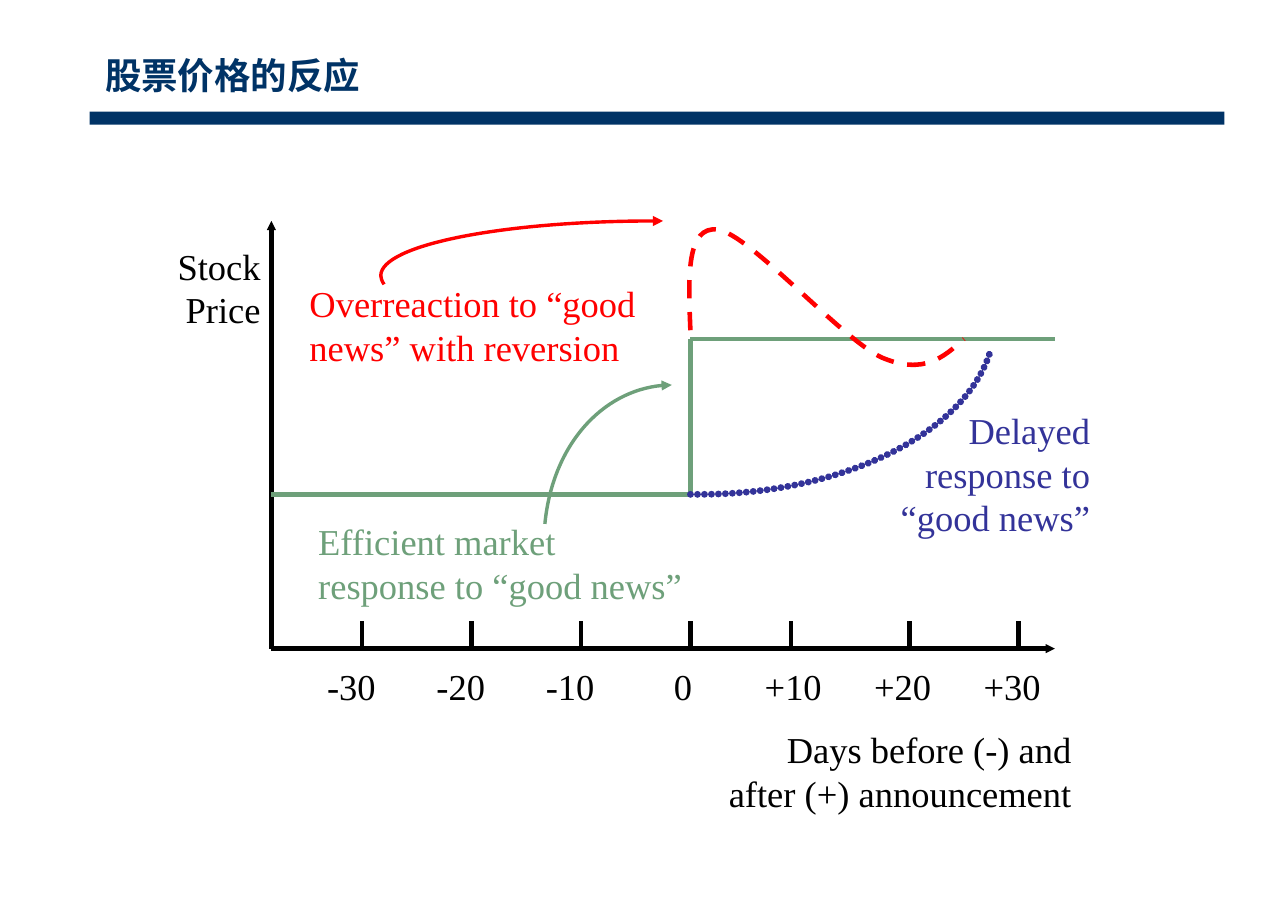
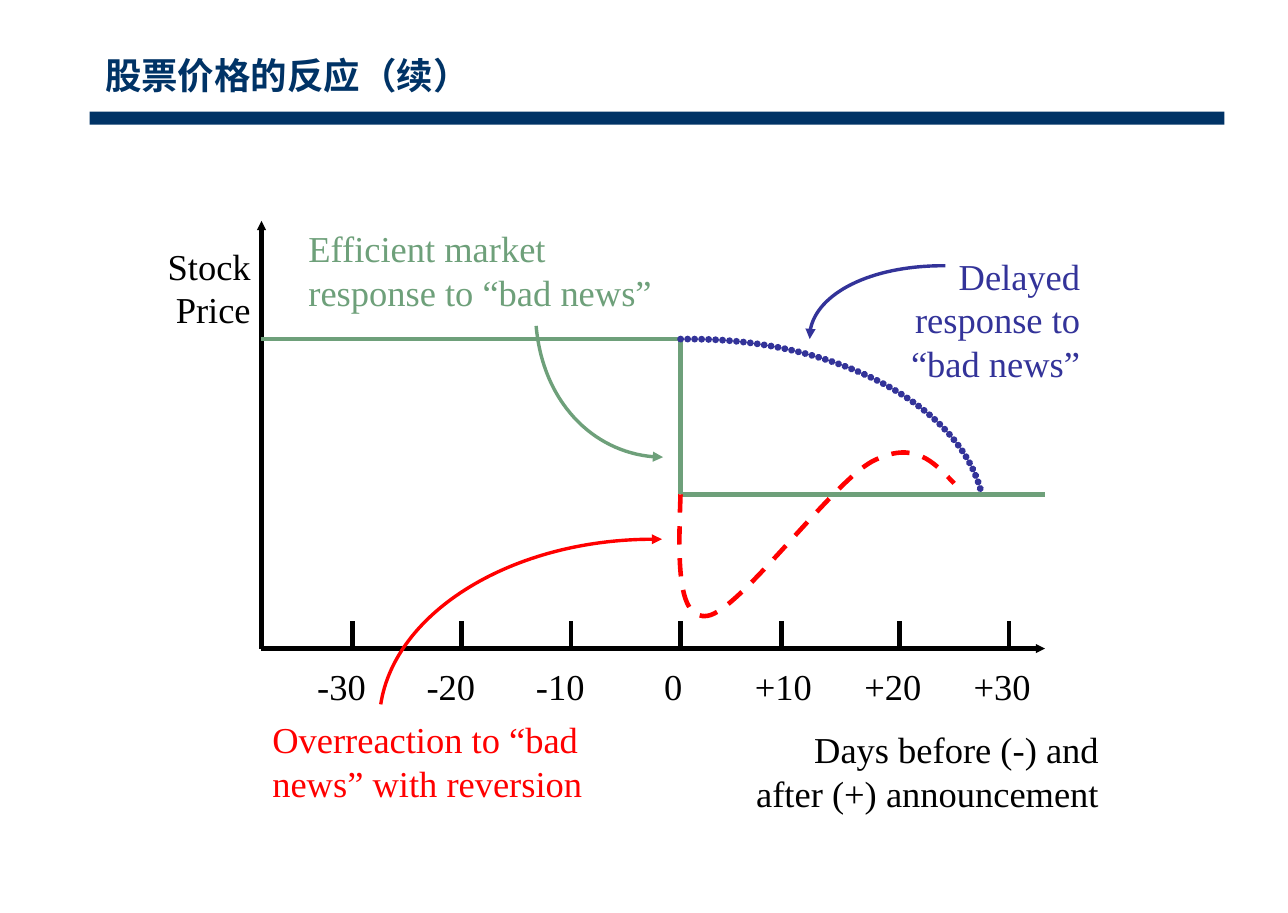
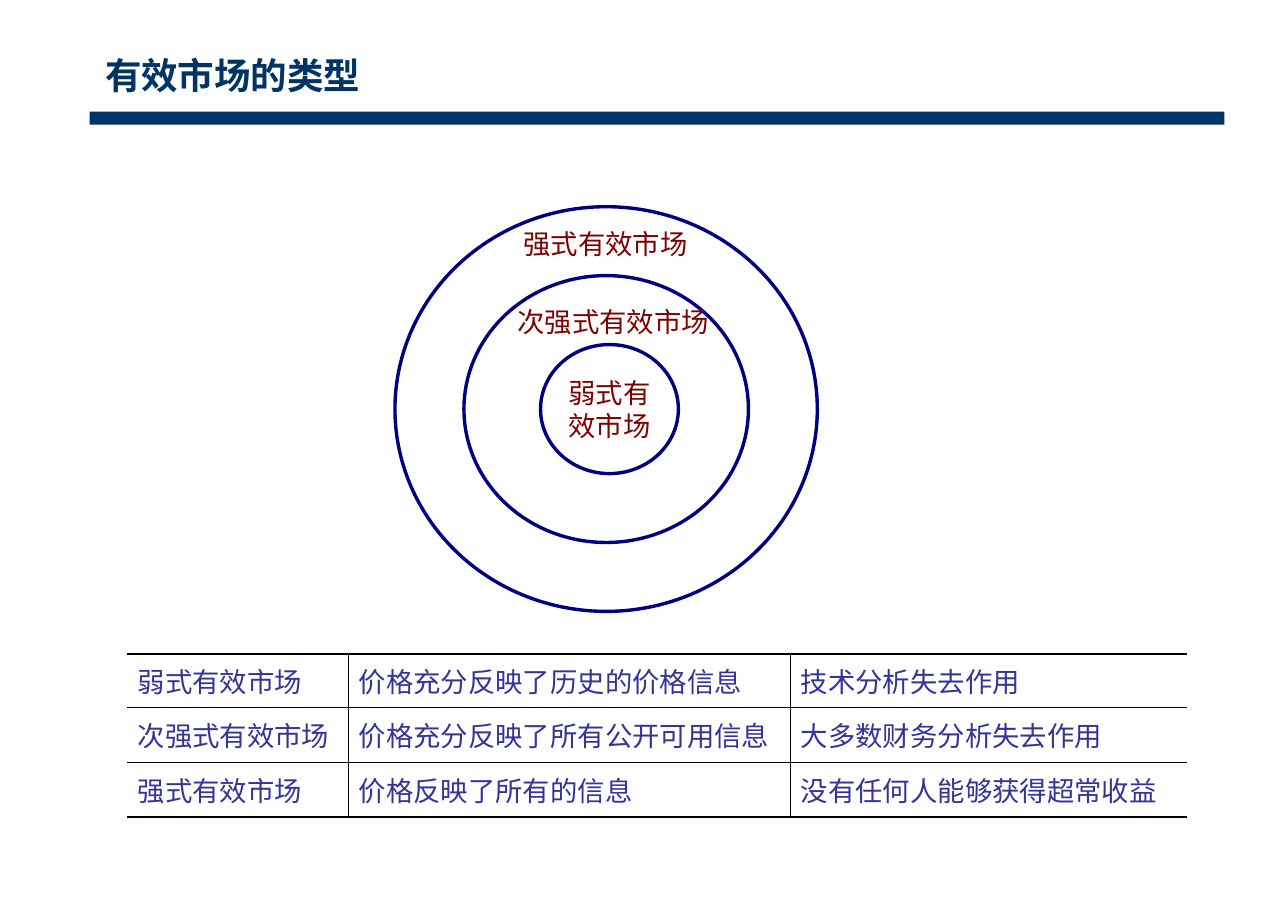
from lxml.etree import SubElement
from pptx import Presentation
from pptx.dml.color import RGBColor
from pptx.enum.dml import MSO_LINE
from pptx.enum.shapes import MSO_CONNECTOR, MSO_SHAPE
from pptx.enum.text import MSO_ANCHOR, MSO_AUTO_SIZE, PP_ALIGN
from pptx.oxml import parse_xml
from pptx.oxml.ns import nsdecls, qn
from pptx.util import Emu, Pt

EMU_PER_PX = 9144  # 100 px to the inch
SLIDE_SIZE = (1177.08, 834.72)
COLORS = {
    "title": "003366", "axis": "000000", "efficient": "6EA07A",
    "over": "FF0000", "delayed": "333399", "ring": "000080",
    "ring_text": "800000", "table_text": "333399", "rule": "000000",
}
LATIN, SANS = "Times New Roman", "Arial"
LINE_FACTOR = 1.2

# Axes shared by both charts, x measured from the origin
AXIS_TOP, AXIS_BOTTOM, AXIS_LENGTH = 202, 593, 716
TICK_HEIGHT = 25
TICKS = [83, 183, 283, 383, 475, 583, 683]
NEWS_DAY = TICKS[3]
TICK_LABELS = ["-30", "-20", "-10", "0", "+10", "+20", "+30"]
TAB_STOPS = [100, 200, 317, 400, 500, 600]
DAYS_LABEL = "Days before (-) and after (+) announcement"

# Curves: start point, then two control points and an end point per segment.
CHARTS = [
    {
        "title": "股票价格的反应",
        "origin": 248, "price_before": 452, "price_after": 310, "days_left": 656,
        "notes": [
            ("Efficient market response to “good news”", "efficient", (281, 470, 358, 90)),
            ("Overreaction to “good news” with reversion", "over", (273, 252, 358, 90)),
            ("Delayed response to “good news”", "delayed", (764, 368, 242, 130)),
        ],
        "arrows": [
            ("efficient", [(614, 352), (555, 352), (505, 407), (498, 479)]),
            ("over", [(606, 202), (603, 202), (601, 202), (598, 202),
                      (460, 202), (348, 224), (348, 252),
                      (348, 254), (349, 257), (351, 260)]),
        ],
        "overreaction": [(631, 302), (629, 254), (627, 206), (656, 210),
                         (685, 214), (769, 310), (806, 327),
                         (844, 343), (862, 327), (881, 310)],
        "delay": [(631, 452), (634, 452), (637, 452), (639, 452),
                  (772, 452), (885, 395), (906, 318)],
    },
    {
        "title": "股票价格的反应（续）",
        "origin": 239, "price_before": 310, "price_after": 452, "days_left": 681,
        "notes": [
            ("Efficient market response to “bad news”", "efficient", (272, 202, 358, 90)),
            ("Overreaction to “bad news” with reversion", "over", (239, 651, 358, 90)),
            ("Delayed response to “bad news”", "delayed", (756, 227, 241, 130)),
        ],
        "arrows": [
            ("efficient", [(606, 418), (546, 418), (496, 367), (490, 298)]),
            ("over", [(605, 493), (603, 493), (600, 493), (597, 493),
                      (469, 493), (361, 559), (348, 644)]),
            ("delayed", [(740, 310), (740, 309), (740, 308), (740, 308),
                         (740, 272), (795, 243), (862, 243),
                         (862, 243), (863, 243), (864, 243)]),
        ],
        "overreaction": [(622, 452), (620, 510), (618, 568), (647, 563),
                         (676, 558), (760, 442), (797, 422),
                         (835, 402), (853, 422), (872, 442)],
        "delay": [(622, 310), (625, 310), (628, 310), (631, 310),
                  (763, 310), (877, 370), (897, 451)],
    },
]

TYPES_TITLE = "有效市场的类型"
RING_CENTER_Y = 374
RINGS = [(557, 126, 118, "弱式有\n效市场"), (554, 260, 244, ""), (554, 386, 370, "")]
RING_LABELS = [
    ("次强式有效市场", PP_ALIGN.LEFT, (463, 274, 197, 40)),
    ("强式有效市场", PP_ALIGN.CENTER, (455, 203, 197, 40)),
]
TABLE_AT = (116, 598)
COLUMN_WIDTHS = [202, 404, 363]
ROW_HEIGHTS = [49, 50, 50]
MARKET_TYPES = [
    ("弱式有效市场", "价格充分反映了历史的价格信息", "技术分析失去作用"),
    ("次强式有效市场", "价格充分反映了所有公开可用信息", "大多数财务分析失去作用"),
    ("强式有效市场", "价格反映了所有的信息", "没有任何人能够获得超常收益"),
]
THIN, THICK = 0.45, 1.08


def px(*values):
    return [Emu(value * EMU_PER_PX) for value in values]


def rgb(name):
    return RGBColor.from_string(COLORS[name])


def write(frame, text, color, size, font, align=PP_ALIGN.LEFT, bold=None, tight=True):
    """Fill a text frame; tight lines get a fixed height of 1.2 times the size."""
    frame.text = text
    for para in frame.paragraphs:
        para.alignment = align
        if tight:
            para.line_spacing = Pt(size * LINE_FACTOR)
        for span in para.runs:
            span.font.name = font
            span.font.size = Pt(size)
            span.font.bold = bold
            span.font.color.rgb = rgb(color)


def add_text(page, text, place, color, size=24, font=LATIN, align=PP_ALIGN.LEFT):
    box = page.shapes.add_textbox(*px(*place))
    box.text_frame.word_wrap = True
    box.text_frame.auto_size = MSO_AUTO_SIZE.SHAPE_TO_FIT_TEXT
    write(box.text_frame, text, color, size, font, align)
    return box


def style_line(shape, color, width):
    shape.line.color.rgb = rgb(color)
    shape.line.width = Pt(width)


def add_arrowhead(shape, end, size="med"):
    SubElement(shape.line._get_or_add_ln(), qn(f"a:{end}"), type="triangle", w=size, len=size)


def add_line(page, start, end, color, arrow=False):
    line = page.shapes.add_connector(MSO_CONNECTOR.STRAIGHT, *px(*start, *end))
    style_line(line, color, 3)
    SubElement(line._element.spPr, qn("a:effectLst"))
    if arrow:
        add_arrowhead(line, "tailEnd", "sm")


def add_curve(page, points, color, width):
    """Draw an open outline through cubic segments of three points each."""
    builder = page.shapes.build_freeform(*points[0], scale=EMU_PER_PX)
    builder.add_line_segments(points[1:], close=False)
    curve = builder.convert_to_shape()
    outline = next(curve._element.iter(qn("a:path")))
    steps = outline.findall(qn("a:lnTo"))
    for first in range(0, len(steps), 3):
        segment = SubElement(outline, qn("a:cubicBezTo"))
        for step in steps[first:first + 3]:
            segment.append(step[0])
            outline.remove(step)
    curve.shadow.inherit = False
    curve.fill.background()
    style_line(curve, color, width)
    return curve


def make_round_dots(curve):
    outline = curve.line._get_or_add_ln()
    outline.set("cap", "rnd")
    dashes = SubElement(outline, qn("a:custDash"))
    SubElement(dashes, qn("a:ds"), d="100000", sp="2000")


def add_page(deck, title):
    page = deck.slides.add_slide(deck.slide_layouts[6])
    band = page.shapes.add_shape(MSO_SHAPE.RECTANGLE, *px(82, 102, 1037, 12))
    band.shadow.inherit = False
    band.fill.solid()
    band.fill.fore_color.rgb = rgb("title")
    band.line.fill.background()
    box = page.shapes.add_textbox(*px(85, 31, 929, 75))
    frame = box.text_frame
    frame.word_wrap = True
    frame.vertical_anchor = MSO_ANCHOR.MIDDLE
    frame.margin_left, frame.margin_top, frame.margin_right, frame.margin_bottom = px(11, 6, 11, 6)
    write(frame, title, "title", 24, SANS, bold=True, tight=False)
    return page


def add_axes(page, origin, days_left):
    corner = (origin, AXIS_BOTTOM)
    add_line(page, corner, (origin, AXIS_TOP), "axis", arrow=True)
    add_line(page, corner, (origin + AXIS_LENGTH, AXIS_BOTTOM), "axis", arrow=True)
    for tick in TICKS:
        x = origin + tick
        add_line(page, (x, AXIS_BOTTOM), (x, AXIS_BOTTOM - TICK_HEIGHT), "axis")
    add_text(page, "Stock Price", (origin - 133, 218, 133, 90), "axis", align=PP_ALIGN.RIGHT)
    add_text(page, DAYS_LABEL, (days_left, 660, 333, 90), "axis", align=PP_ALIGN.RIGHT)
    labels = add_text(page, "\t".join(TICK_LABELS), (origin + 41, 602, 692, 50), "axis")
    properties = labels.text_frame.paragraphs[0]._p.get_or_add_pPr()
    stops = SubElement(properties, qn("a:tabLst"))
    for stop in TAB_STOPS:
        SubElement(stops, qn("a:tab"), pos=str(stop * EMU_PER_PX), algn="l")


def add_chart_page(deck, chart):
    page = add_page(deck, chart["title"])
    origin, before, after = chart["origin"], chart["price_before"], chart["price_after"]
    add_axes(page, origin, chart["days_left"])
    news_x = origin + NEWS_DAY
    corners = [(origin, before), (news_x, before), (news_x, after), (origin + AXIS_LENGTH, after)]
    for start, end in zip(corners, corners[1:]):
        add_line(page, start, end, "efficient")
    add_curve(page, chart["overreaction"], "over", 3).line.dash_style = MSO_LINE.DASH
    make_round_dots(add_curve(page, chart["delay"], "delayed", 4.5))
    for color, points in chart["arrows"]:
        add_arrowhead(add_curve(page, points, color, 2.25), "headEnd")
    for text, color, place in chart["notes"]:
        align = PP_ALIGN.RIGHT if color == "delayed" else PP_ALIGN.LEFT
        add_text(page, text, place, color, align=align)


def set_borders(cell, widths):
    """Set the left, right, top and bottom borders; None leaves a side open."""
    properties = cell._tc.get_or_add_tcPr()
    for index, (side, width) in enumerate(zip("LRTB", widths)):
        if width is None:
            content = "<a:noFill/>"
        else:
            content = f'<a:solidFill><a:srgbClr val="{COLORS["rule"]}"/></a:solidFill>'
        border = parse_xml(f'<a:ln{side} {nsdecls("a")} w="{Pt(width or 0)}">{content}</a:ln{side}>')
        properties.insert(index, border)


def add_types_table(page):
    size = (sum(COLUMN_WIDTHS), sum(ROW_HEIGHTS))
    table = page.shapes.add_table(
        len(ROW_HEIGHTS), len(COLUMN_WIDTHS), *px(*TABLE_AT, *size)).table
    table.first_row = table.horz_banding = False
    for column, width in zip(table.columns, px(*COLUMN_WIDTHS)):
        column.width = width
    for row, height in zip(table.rows, px(*ROW_HEIGHTS)):
        row.height = height
    last_row, last_column = len(ROW_HEIGHTS) - 1, len(COLUMN_WIDTHS) - 1
    for r, texts in enumerate(MARKET_TYPES):
        for c, text in enumerate(texts):
            cell = table.cell(r, c)
            cell.vertical_anchor = MSO_ANCHOR.MIDDLE
            cell.fill.background()
            write(cell.text_frame, text, "table_text", 18, SANS, tight=False)
            set_borders(cell, (
                THIN if c > 0 else None,
                THIN if c < last_column else None,
                THIN if r > 0 else THICK,
                THIN if r < last_row else THICK,
            ))


def add_types_page(deck):
    page = add_page(deck, TYPES_TITLE)
    for center_x, width, height, text in RINGS:
        place = (center_x - width // 2, RING_CENTER_Y - height // 2, width, height)
        ring = page.shapes.add_shape(MSO_SHAPE.FLOWCHART_CONNECTOR, *px(*place))
        ring.shadow.inherit = False
        ring.fill.background()
        style_line(ring, "ring", 2.25)
        if text:
            ring.text_frame.word_wrap = False
            ring.text_frame.vertical_anchor = MSO_ANCHOR.MIDDLE
            write(ring.text_frame, text, "ring_text", 18, SANS, PP_ALIGN.CENTER)
    for text, align, place in RING_LABELS:
        add_text(page, text, place, "ring_text", 18, SANS, align)
    add_types_table(page)


def main():
    deck = Presentation()
    deck.slide_width, deck.slide_height = px(*SLIDE_SIZE)
    for chart in CHARTS:
        add_chart_page(deck, chart)
    add_types_page(deck)
    deck.save("out.pptx")


if __name__ == "__main__":
    main()
